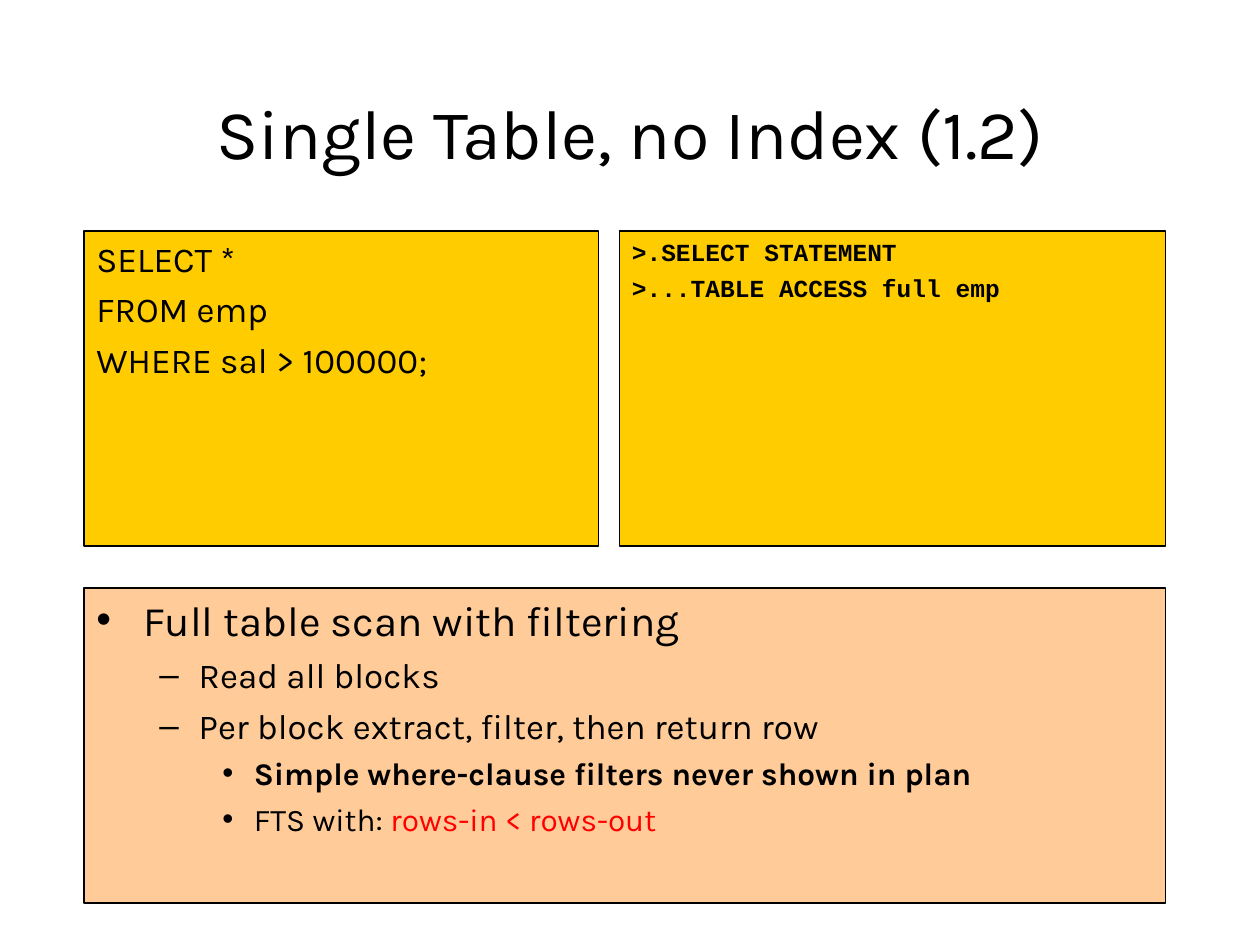
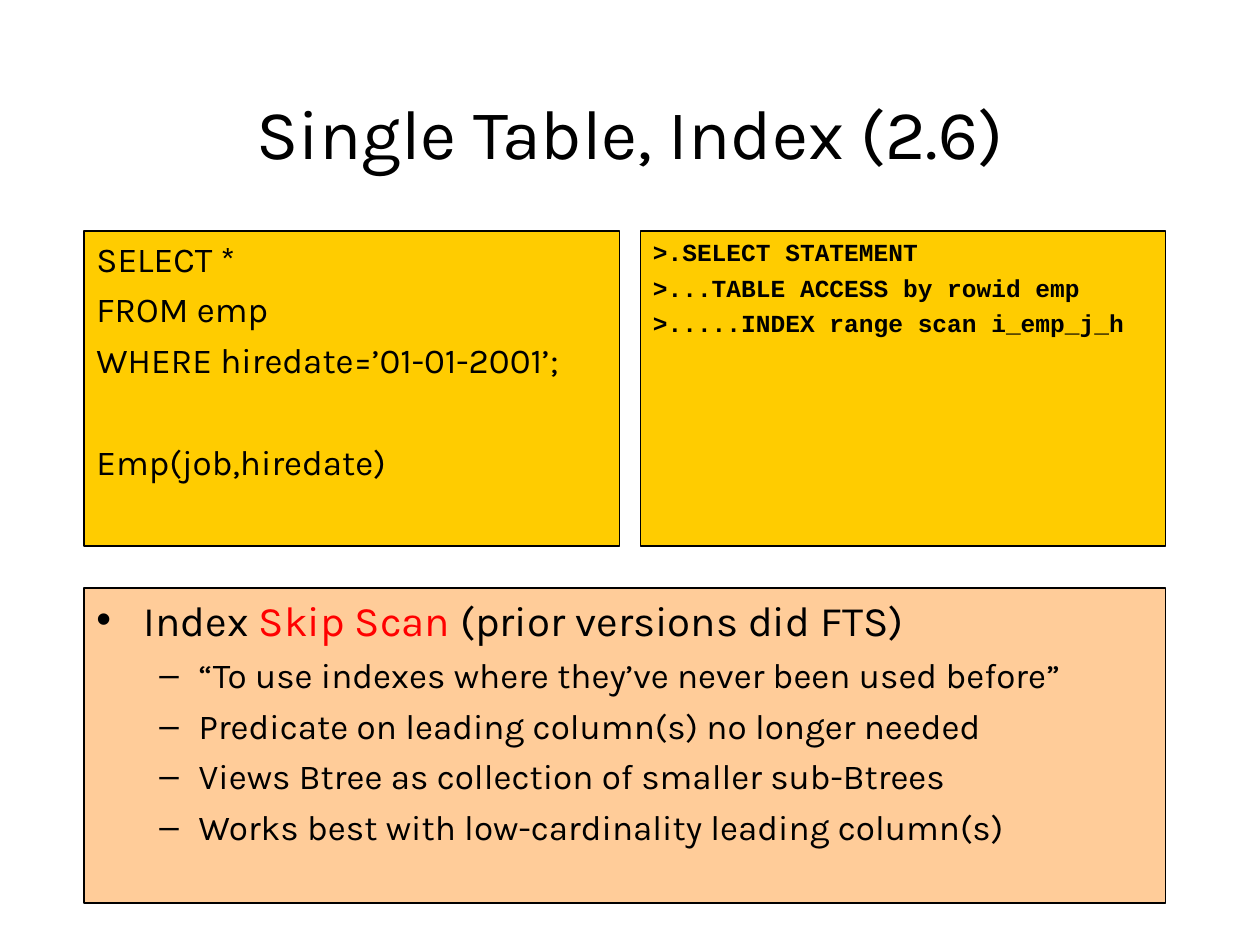
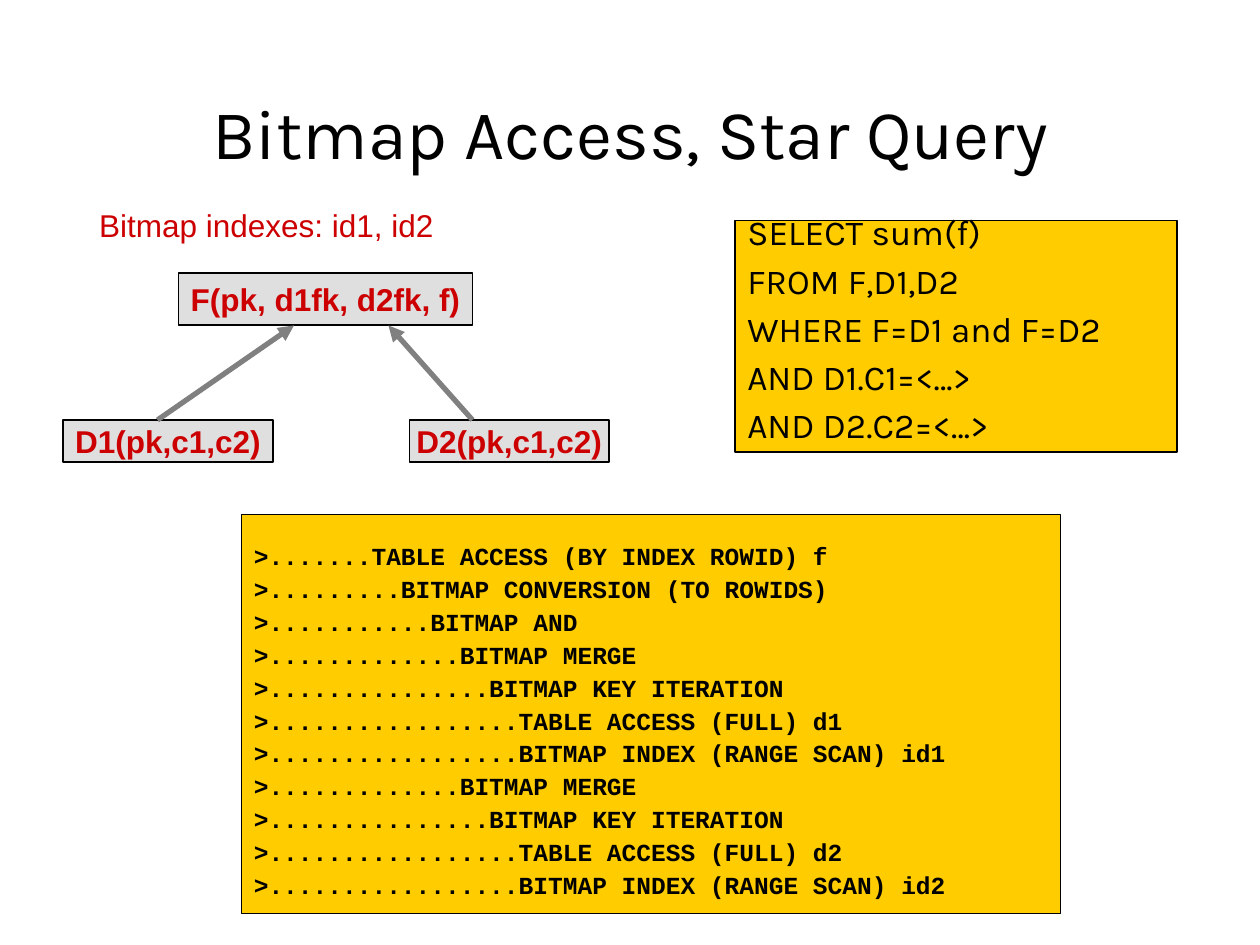
import lxml.etree
import pptx
import pptx.dml.color
import pptx.enum.shapes
import pptx.enum.text
import pptx.oxml.ns
import pptx.util

Pt = pptx.util.Pt
Align = pptx.enum.text.PP_ALIGN
Anchor = pptx.enum.text.MSO_ANCHOR
qn = pptx.oxml.ns.qn


class Theme:
    black = pptx.dml.color.RGBColor.from_string("000000")
    code_fill = pptx.dml.color.RGBColor.from_string("FFCC00")
    notes_fill = pptx.dml.color.RGBColor.from_string("FFCC99")
    table_fill = pptx.dml.color.RGBColor.from_string("C0C0C0")
    arrow = pptx.dml.color.RGBColor.from_string("808080")
    accent = pptx.dml.color.RGBColor.from_string("FF0000")
    schema = pptx.dml.color.RGBColor.from_string("CC0000")
    title = dict(font="Karla", size=40, align=Align.CENTER, anchor=Anchor.MIDDLE)
    sql = dict(font="Karla", size=20, gap=5, fill=code_fill)
    plan = dict(font="Courier New", size=14, bold=True, gap=3.5, fill=code_fill)
    notes = dict(font="Karla", size=24, fill=notes_fill)
    label = dict(font="Arial", size=18, color=schema, align=Align.CENTER, wrap=False)
    table = dict(label, bold=True, anchor=Anchor.MIDDLE, fill=table_fill, line=1)
    levels = [(24, 6, 27, -27, "•"), (20, 5, 58.5, -22.5, "–"), (18, 4.5, 90, -18, "•")]


def add_box(page, frame, lines, font, size, color=Theme.black, bold=False, gap=0,
            spacing=None, align=Align.LEFT, anchor=Anchor.TOP, wrap=True, fill=None, line=0.75):
    left, top, width, height = map(Pt, frame)
    if fill is None:
        box = page.shapes.add_textbox(left, top, width, height)
    else:
        rectangle = pptx.enum.shapes.MSO_SHAPE.RECTANGLE
        box = page.shapes.add_shape(rectangle, left, top, width, height)
        box.shadow.inherit = False
        box.fill.solid()
        box.fill.fore_color.rgb = fill
        box.line.color.rgb = Theme.black
        box.line.width = Pt(line)
    box.text_frame.word_wrap = wrap
    box.text_frame.vertical_anchor = anchor
    box.text_frame.text = "\n".join(lines)
    for index, para in enumerate(box.text_frame.paragraphs):
        para.alignment = align
        para.space_before = Pt(gap if index else 0)
        if spacing:
            para.line_spacing = Pt(spacing)
        for span in para.runs:
            span.font.name = font
            span.font.size = Pt(size)
            span.font.bold = bold
            span.font.color.rgb = color
    return box


def add_notes(page, items):
    texts = ["".join(spans) for level, bold, spans in items]
    box = add_box(page, (48, 336, 618, 180), texts, **Theme.notes)
    for index, (level, bold, spans) in enumerate(items):
        size, gap, margin, indent, bullet = Theme.levels[level]
        para = box.text_frame.paragraphs[index]
        para.level = level
        para.space_before = Pt(gap if index else 0)
        properties = para._p.get_or_add_pPr()
        properties.set("marL", str(Pt(margin)))
        properties.set("indent", str(Pt(indent)))
        lxml.etree.SubElement(properties, qn("a:buFont"), typeface="Arial")
        lxml.etree.SubElement(properties, qn("a:buChar"), char=bullet)
        para.text = spans[0]
        for text in spans[1:]:
            para.add_run().text = text
        for position, span in enumerate(para.runs):
            span.font.name = Theme.notes["font"]
            span.font.size = Pt(size)
            span.font.bold = bold
            span.font.color.rgb = Theme.accent if position == 1 else Theme.black


deck = pptx.Presentation()
deck.slide_width = Pt(720)
deck.slide_height = Pt(540)

titles = ["Single Table, no Index (1.2)", "Single Table, Index (2.6)", "Bitmap Access, Star Query"]
pages = []
for title in titles:
    page = deck.slides.add_slide(deck.slide_layouts[6])
    add_box(page, (54, 48, 612, 54), [title], **Theme.title)
    pages.append(page)
full_scan, skip_scan, star_query = pages

examples = [
    (full_scan, 294,
     ["SELECT *", "FROM emp", "WHERE sal > 100000;"],
     [">.SELECT STATEMENT", ">...TABLE ACCESS full emp"],
     [(0, False, ["Full table scan with filtering"]),
      (1, False, ["Read all blocks"]),
      (1, False, ["Per block extract, filter, then return row"]),
      (2, True, ["Simple where-clause filters never shown in plan"]),
      (2, False, ["FTS with: ", "rows-in < rows-out"])]),
    (skip_scan, 306,
     ["SELECT *", "FROM emp", "WHERE hiredate=’01-01-2001’;", "Emp(job,hiredate)"],
     [">.SELECT STATEMENT", ">...TABLE ACCESS by rowid emp", ">.....INDEX range scan i_emp_j_h"],
     [(0, False, ["Index ", "Skip Scan", " (prior versions did FTS)"]),
      (1, False, ["“To use indexes where they’ve never been used before”"]),
      (1, False, ["Predicate on leading column(s) no longer needed"]),
      (1, False, ["Views Btree as collection of smaller sub-Btrees"]),
      (1, False, ["Works best with low-cardinality leading column(s)"])]),
]
for page, sql_width, sql, plan, notes in examples:
    add_notes(page, notes)
    plan_left = 48 + sql_width + 12
    add_box(page, (plan_left, 132, 666 - plan_left, 180), plan, **Theme.plan)
    sql_box = add_box(page, (48, 132, sql_width, 180), sql, **Theme.sql)
    if page is skip_scan:
        sql_box.text_frame.paragraphs[-1].space_before = Pt(34)

tables = [
    ((234, 240, 114, 24), "D2(pk,c1,c2)"),
    ((36, 240, 120, 24), "D1(pk,c1,c2)"),
    ((102, 156, 168, 30), "F(pk, d1fk, d2fk, f)"),
]
for frame, name in tables:
    table = add_box(star_query, frame, [name], **Theme.table)
    color = table.fill._xPr.find(qn("a:solidFill"))[0]
    lxml.etree.SubElement(color, qn("a:alpha"), val="50000")

steps = [
    (7, "TABLE ACCESS (BY INDEX ROWID) f"),
    (9, "BITMAP CONVERSION (TO ROWIDS)"),
    (11, "BITMAP AND"),
]
for number in (1, 2):
    steps += [
        (13, "BITMAP MERGE"),
        (15, "BITMAP KEY ITERATION"),
        (17, f"TABLE ACCESS (FULL) d{number}"),
        (17, f"BITMAP INDEX (RANGE SCAN) id{number}"),
    ]
star_plan = [">" + "." * depth + step for depth, step in steps]
plan_style = dict(Theme.plan, gap=8.8, spacing=10, line=1)
plan_box = add_box(star_query, (138, 294, 468, 228), star_plan, **plan_style)
plan_box.text_frame.margin_top = Pt(22)

for start, end in [((270, 240), (222, 186)), ((90, 240), (168, 186))]:
    straight = pptx.enum.shapes.MSO_CONNECTOR.STRAIGHT
    arrow = star_query.shapes.add_connector(straight, *map(Pt, start + end))
    arrow.line.color.rgb = Theme.arrow
    arrow.line.width = Pt(3)
    lxml.etree.SubElement(arrow.line._get_or_add_ln(), qn("a:tailEnd"), type="triangle")
    lxml.etree.SubElement(arrow._element.spPr, qn("a:effectLst"))

star_sql = ["SELECT sum(f)", "FROM F,D1,D2", "WHERE F=D1 and F=D2", "AND D1.C1=<…>", "AND D2.C2=<…>"]
sql_style = dict(Theme.sql, gap=12.5, spacing=15, line=1)
add_box(star_query, (420, 126, 252.75, 132.5), star_sql, **sql_style)
add_box(star_query, (44.25, 114, 216, 28.8), ["Bitmap indexes: id1, id2"], **Theme.label)

deck.save("out.pptx")
